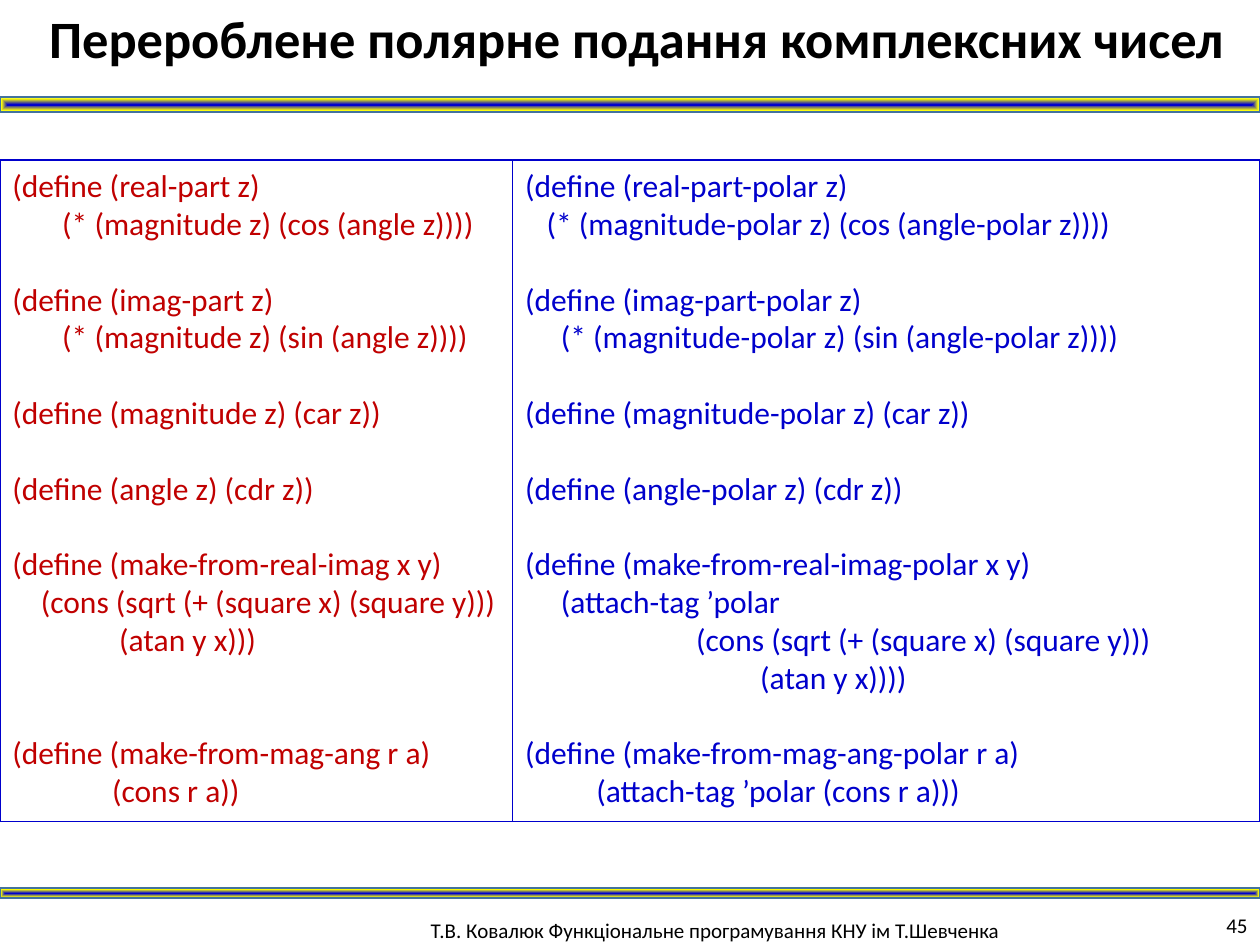
from pptx import Presentation
from pptx.dml.color import RGBColor
from pptx.enum import shapes, text
from pptx.oxml import parse_xml
from pptx.oxml.ns import nsdecls
from pptx.util import Inches, Pt

W, H = 10, 7.5
FONT = "Calibri"
SPACE = 4.07    # indent unit, points
LINE = 21.6     # height of one code line, points
TOP, TALL, SPLIT = 1.27, 5.25, 4.07
HEX = {"ink": "000000", "old": "C00000", "new": "0000CC",
       "sun": "FFFF00", "pale": "CEE1F2", "rim": "43739E"}

# Code lines: (empty lines above, indent units, text)
OLD = [
    (0, 0, "(define (real-part z)"),
    (0, 7, "(* (magnitude z) (cos (angle z))))"),
    (1, 0, "(define (imag-part z)"),
    (0, 7, "(* (magnitude z) (sin (angle z))))"),
    (1, 0, "(define (magnitude z) (car z))"),
    (1, 0, "(define (angle z) (cdr z))"),
    (1, 0, "(define (make-from-real-imag x y)"),
    (0, 4, "(cons (sqrt (+ (square x) (square y)))"),
    (0, 15, "(atan y x)))"),
    (2, 0, "(define (make-from-mag-ang r a)"),
    (0, 14, "(cons r a))"),
]
NEW = [
    (0, 0, "(define (real-part-polar z)"),
    (0, 3, "(* (magnitude-polar z) (cos (angle-polar z))))"),
    (1, 0, "(define (imag-part-polar z)"),
    (0, 5, "(* (magnitude-polar z) (sin (angle-polar z))))"),
    (1, 0, "(define (magnitude-polar z) (car z))"),
    (1, 0, "(define (angle-polar z) (cdr z))"),
    (1, 0, "(define (make-from-real-imag-polar x y)"),
    (0, 5, "(attach-tag ’polar"),
    (0, 24, "(cons (sqrt (+ (square x) (square y)))"),
    (0, 33, "(atan y x))))"),
    (1, 0, "(define (make-from-mag-ang-polar r a)"),
    (0, 10, "(attach-tag ’polar (cons r a)))"),
]


def rgb(name):
    return RGBColor.from_string(HEX[name])


def style(par, size, hue="ink", bold=False, align=text.PP_ALIGN.LEFT):
    par.alignment = align
    font = par.font
    font.name, font.size, font.bold = FONT, Pt(size), bold
    font.color.rgb = rgb(hue)


def rect(slide, x, y, w, h, hue, width):
    box = slide.shapes.add_shape(shapes.MSO_SHAPE.RECTANGLE,
                                 *map(Inches, (x, y, w, h)))
    box.shadow.inherit = False
    box.line.color.rgb = rgb(hue)
    box.line.width = Pt(width)
    return box


def band(slide, y, h):
    """Full-width stripe, shaded from its centre to its rim."""
    bar = rect(slide, 0, y, W, h, "rim", 1)
    stops = "".join(
        f'<a:gs pos="{pos * 1000}"><a:srgbClr val="{HEX[hue]}"/></a:gs>'
        for pos, hue in ((0, "new"), (77, "sun"), (100, "pale")))
    fill = parse_xml(
        f'<a:gradFill {nsdecls("a")}><a:gsLst>{stops}</a:gsLst>'
        '<a:path path="shape"><a:fillToRect l="50000" t="50000" '
        'r="50000" b="50000"/></a:path></a:gradFill>')
    bar.fill.background()
    none = bar.element.spPr.find("{*}noFill")
    bar.element.spPr.replace(none, fill)


def code(slide, x, w, lines, hue):
    box = rect(slide, x, TOP, w, TALL, "new", 0.75)
    box.fill.background()
    frame = box.text_frame
    frame.word_wrap = True
    frame.vertical_anchor = text.MSO_ANCHOR.TOP
    for i, (gap, step, line) in enumerate(lines):
        par = frame.add_paragraph() if i else frame.paragraphs[0]
        par.text = line
        style(par, 18, hue)
        par.space_before = Pt(gap * LINE)
        par._p.get_or_add_pPr().set("marL", str(int(Pt(step * SPACE))))


def label(slide, x, y, w, h, words, align, anchor):
    frame = slide.shapes.add_textbox(*map(Inches, (x, y, w, h))).text_frame
    frame.word_wrap = True
    frame.vertical_anchor = anchor
    frame.text = words
    style(frame.paragraphs[0], 12, align=align)


def head(slide, words):
    title = slide.shapes.title
    title.left, title.top, title.width, title.height = map(
        Inches, (0, 0, 10.11, 0.61))
    frame = title.text_frame
    frame.text = words
    frame.auto_size = text.MSO_AUTO_SIZE.NONE
    frame.vertical_anchor = text.MSO_ANCHOR.TOP
    style(frame.paragraphs[0], 30, bold=True, align=text.PP_ALIGN.CENTER)


def main():
    deck = Presentation()
    deck.slide_width, deck.slide_height = Inches(W), Inches(H)
    slide = deck.slides.add_slide(deck.slide_layouts[5])

    # Title and stripes
    head(slide, "Перероблене полярне подання комплексних чисел")
    band(slide, 0.77, 0.12)
    band(slide, 7.05, 0.08)

    # Code before and after
    code(slide, SPLIT, W - SPLIT, NEW, "new")
    code(slide, 0, SPLIT, OLD, "old")

    # Footer and page number
    label(slide, 3.32, 7.23, 6, 0.32,
          "Т.В. Ковалюк Функціональне програмування КНУ ім Т.Шевченка",
          text.PP_ALIGN.LEFT, text.MSO_ANCHOR.TOP)
    label(slide, 9.31, 7.18, 0.69, 0.32, "45",
          text.PP_ALIGN.RIGHT, text.MSO_ANCHOR.MIDDLE)

    deck.save("out.pptx")


if __name__ == "__main__":
    main()
